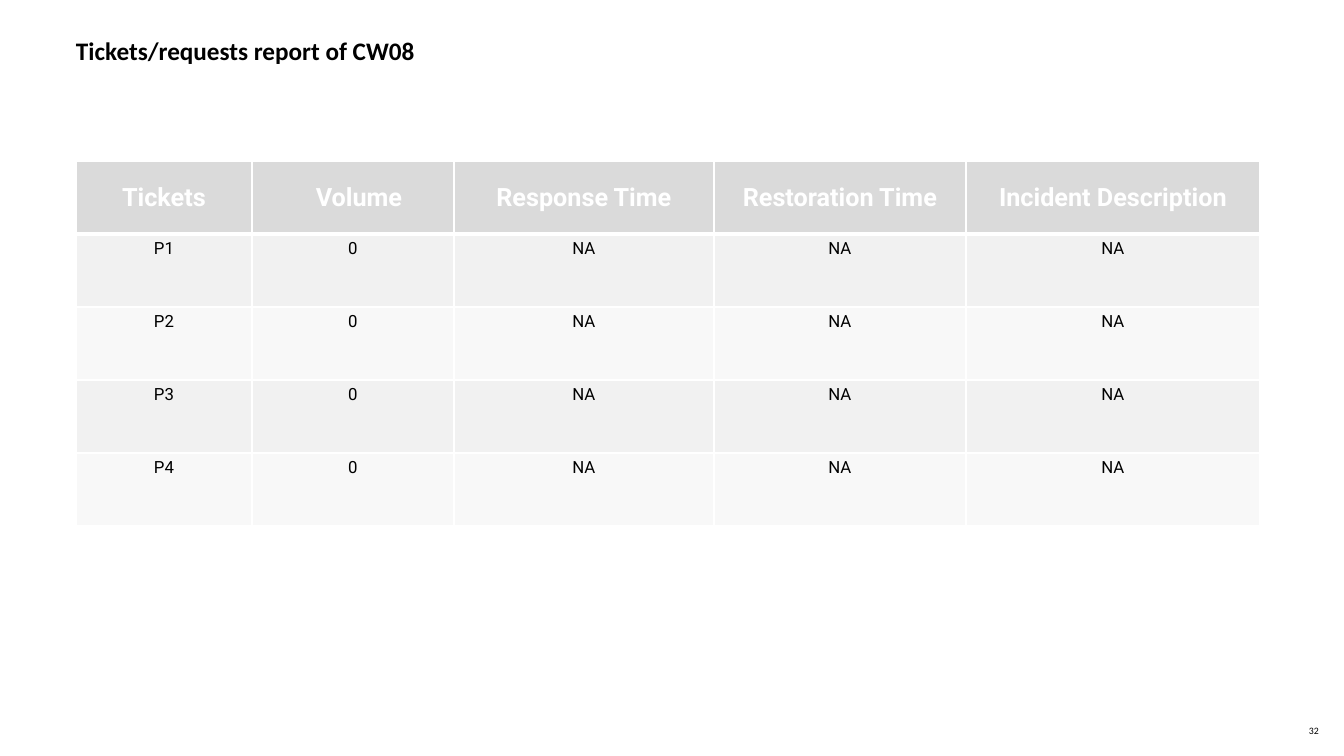
import pptx
import pptx.util
import pptx.dml.color
import pptx.enum.text
import pptx.oxml.ns
import lxml.etree

RGB = pptx.dml.color.RGBColor
ANCHOR = pptx.enum.text.MSO_ANCHOR
ALIGN = pptx.enum.text.PP_ALIGN

BLACK = RGB(0x00, 0x00, 0x00)
WHITE = RGB(0xFF, 0xFF, 0xFF)
HEAD = RGB(0xDA, 0xDA, 0xDA)
BANDS = RGB(0xF1, 0xF1, 0xF1), RGB(0xF8, 0xF8, 0xF8)

SCALE = 914400 / 100.8
LEFT, TOP, HIGH = 76, 161, 73
WIDTHS = 176, 202, 260, 252, 294
INDENT = 12

ROWS = [
    ["Tickets", "Volume", "Response Time", "Restoration Time",
     "Incident Description"],
    *([f"P{level}", "0", "NA", "NA", "NA"] for level in range(1, 5)),
]


def px(count):
    return pptx.util.Emu(round(count * SCALE))


def write(frame, text, face, size, color, bold=False):
    frame.text = text
    para = frame.paragraphs[0]
    font = para.font
    font.name, font.size, font.bold = face, pptx.util.Pt(size), bold
    font.color.rgb = color
    return para


def place(shape, left, top, width, height, anchor):
    """Set a text shape's bounds, with no insets."""
    shape.left, shape.top = px(left), px(top)
    shape.width, shape.height = px(width), px(height)
    frame = shape.text_frame
    frame.margin_left = frame.margin_right = 0
    frame.margin_top = frame.margin_bottom = 0
    frame.word_wrap = True
    frame.auto_size = pptx.enum.text.MSO_AUTO_SIZE.NONE
    frame.vertical_anchor = anchor
    return frame


def edge(cell, side, points):
    qn = pptx.oxml.ns.qn
    props = cell._tc.get_or_add_tcPr()
    line = lxml.etree.SubElement(
        props, qn(f"a:ln{side}"), w=str(pptx.util.Pt(points)))
    fill = lxml.etree.SubElement(line, qn("a:solidFill"))
    lxml.etree.SubElement(fill, qn("a:srgbClr"), val=str(WHITE))


def style(cell, text, row):
    head = row == 0
    for side in "LRTB":
        thick = (row, side) in ((0, "B"), (1, "T"))
        edge(cell, side, 3 if thick else 1)
    cell.fill.solid()
    cell.fill.fore_color.rgb = HEAD if head else BANDS[(row - 1) % 2]
    cell.vertical_anchor = ANCHOR.MIDDLE if head else ANCHOR.TOP
    size, color = (18, WHITE) if head else (12, BLACK)
    para = write(cell.text_frame, text, "Roboto", size, color, head)
    para.alignment = ALIGN.CENTER


def add_grid(slide):
    grid = slide.shapes.add_table(
        len(ROWS), len(WIDTHS), px(LEFT), px(TOP),
        px(sum(WIDTHS)), px(HIGH * len(ROWS))).table
    for col, width in zip(grid.columns, WIDTHS):
        col.width = px(width)
    for row, texts in enumerate(ROWS):
        grid.rows[row].height = px(HIGH)
        for col, text in enumerate(texts):
            style(grid.cell(row, col), text, row)
    volume = grid.cell(0, 1)
    volume.margin_left += px(INDENT)


def add_title(slide):
    frame = place(slide.shapes.title, LEFT, 32, 1250, 68, ANCHOR.TOP)
    para = write(frame, "Tickets/requests report of CW08",
                 "Calibri", 18, BLACK, True)
    para.alignment = ALIGN.LEFT
    para.line_spacing = 1.1


def add_page(slide):
    box = slide.shapes.add_textbox(0, 0, 0, 0)
    frame = place(box, 1309, 722, 35, 17, ANCHOR.MIDDLE)
    write(frame, "32", "Calibri", 7, BLACK)


def main():
    deck = pptx.Presentation()
    deck.slide_width, deck.slide_height = px(1344), px(756)
    slide = deck.slides.add_slide(deck.slide_layouts[5])
    add_title(slide)
    add_grid(slide)
    add_page(slide)
    deck.save("out.pptx")


if __name__ == "__main__":
    main()
